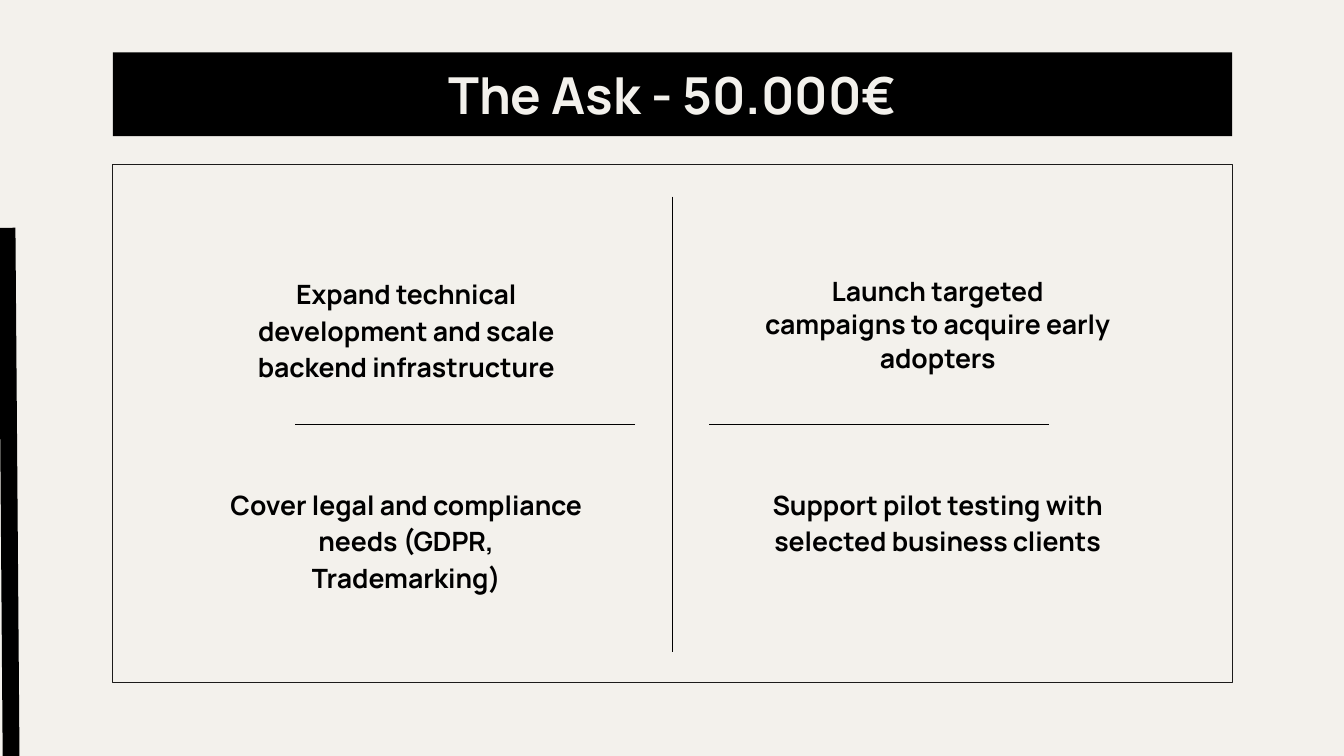
from dataclasses import dataclass

from lxml.etree import SubElement
from pptx import Presentation
from pptx.dml.color import RGBColor
from pptx.enum.shapes import MSO_CONNECTOR, MSO_SHAPE
from pptx.enum.text import MSO_ANCHOR, MSO_AUTO_SIZE, PP_ALIGN
from pptx.oxml.ns import qn
from pptx.slide import Slide
from pptx.text.text import TextFrame
from pptx.util import Inches, Pt

FONT = "Manrope"
PAPER = "F3F1EC"
BLACK = "000000"
FRAME_LINE = "1C1B1A"
FRAME_LEFT, FRAME_WIDTH = 1.12, 11.1
COLUMNS = (2.15, 7.42)
ROWS = (2.58, 4.67)


@dataclass
class FundingUse:
    column: int
    row: int
    text: str
    line_spacing: float = 1.15


@dataclass
class Rule:
    start: tuple[float, float]
    end: tuple[float, float]
    width: float = 0.75


FUNDING_USES = [
    FundingUse(0, 0, "Expand technical development and scale backend infrastructure"),
    FundingUse(1, 0, "Launch targeted campaigns to acquire early adopters", 1.05),
    FundingUse(0, 1, "Cover legal and compliance needs (GDPR, Trademarking)"),
    FundingUse(1, 1, "Support pilot testing with selected business clients"),
]

RULES = [
    Rule((6.67, 1.95), (6.67, 6.47)),
    Rule((6.3, 4.21), (2.93, 4.21)),
    Rule((10.4, 4.21), (7.03, 4.21)),
    Rule((0.07, 2.26), (0.11, 7.5), 12),
]


def color(value: str) -> RGBColor:
    return RGBColor.from_string(value)


def format_text(text_frame: TextFrame, text: str, size: float, font_color: str) -> None:
    text_frame.text = text
    text_frame.word_wrap = True
    text_frame.auto_size = MSO_AUTO_SIZE.NONE
    text_frame.margin_left = text_frame.margin_right = Inches(0.12)
    text_frame.margin_top = text_frame.margin_bottom = Inches(0.13)
    paragraph = text_frame.paragraphs[0]
    paragraph.alignment = PP_ALIGN.CENTER
    font = paragraph.runs[0].font
    font.name = FONT
    font.size = Pt(size)
    font.bold = True
    font.color.rgb = color(font_color)


def add_title(slide: Slide, text: str) -> None:
    title = slide.shapes.title
    title.left, title.top = Inches(FRAME_LEFT), Inches(0.52)
    title.width, title.height = Inches(FRAME_WIDTH), Inches(0.83)
    title.fill.solid()
    title.fill.fore_color.rgb = color(BLACK)
    format_text(title.text_frame, text, 36.4, PAPER)
    title.text_frame.vertical_anchor = MSO_ANCHOR.MIDDLE
    title.text_frame.paragraphs[0].line_spacing = 1.0


def add_frame(slide: Slide) -> None:
    frame = slide.shapes.add_shape(
        MSO_SHAPE.RECTANGLE,
        Inches(FRAME_LEFT), Inches(1.63), Inches(FRAME_WIDTH), Inches(5.14),
    )
    frame.shadow.inherit = False
    frame.fill.background()
    frame.line.color.rgb = color(FRAME_LINE)
    frame.line.width = Pt(0.75)


def add_rule(slide: Slide, rule: Rule) -> None:
    connector = slide.shapes.add_connector(
        MSO_CONNECTOR.STRAIGHT,
        *(Inches(value) for value in (*rule.start, *rule.end)),
    )
    connector.line.color.rgb = color(BLACK)
    connector.line.width = Pt(rule.width)
    SubElement(connector._element.spPr, qn("a:effectLst"))


def add_funding_use(slide: Slide, use: FundingUse) -> None:
    box = slide.shapes.add_textbox(
        Inches(COLUMNS[use.column]), Inches(ROWS[use.row]), Inches(3.76), Inches(1.31)
    )
    format_text(box.text_frame, use.text, 19, BLACK)
    paragraph = box.text_frame.paragraphs[0]
    paragraph.line_spacing = use.line_spacing
    paragraph.space_after = Pt(16)


def main() -> None:
    presentation = Presentation()
    presentation.slide_width = Inches(13.33)
    presentation.slide_height = Inches(7.5)
    slide = presentation.slides.add_slide(presentation.slide_layouts[5])
    slide.background.fill.solid()
    slide.background.fill.fore_color.rgb = color(PAPER)

    add_title(slide, "The Ask - 50.000€")
    add_frame(slide)
    for rule in RULES:
        add_rule(slide, rule)
    for use in FUNDING_USES:
        add_funding_use(slide, use)
    presentation.save("out.pptx")


if __name__ == "__main__":
    main()
